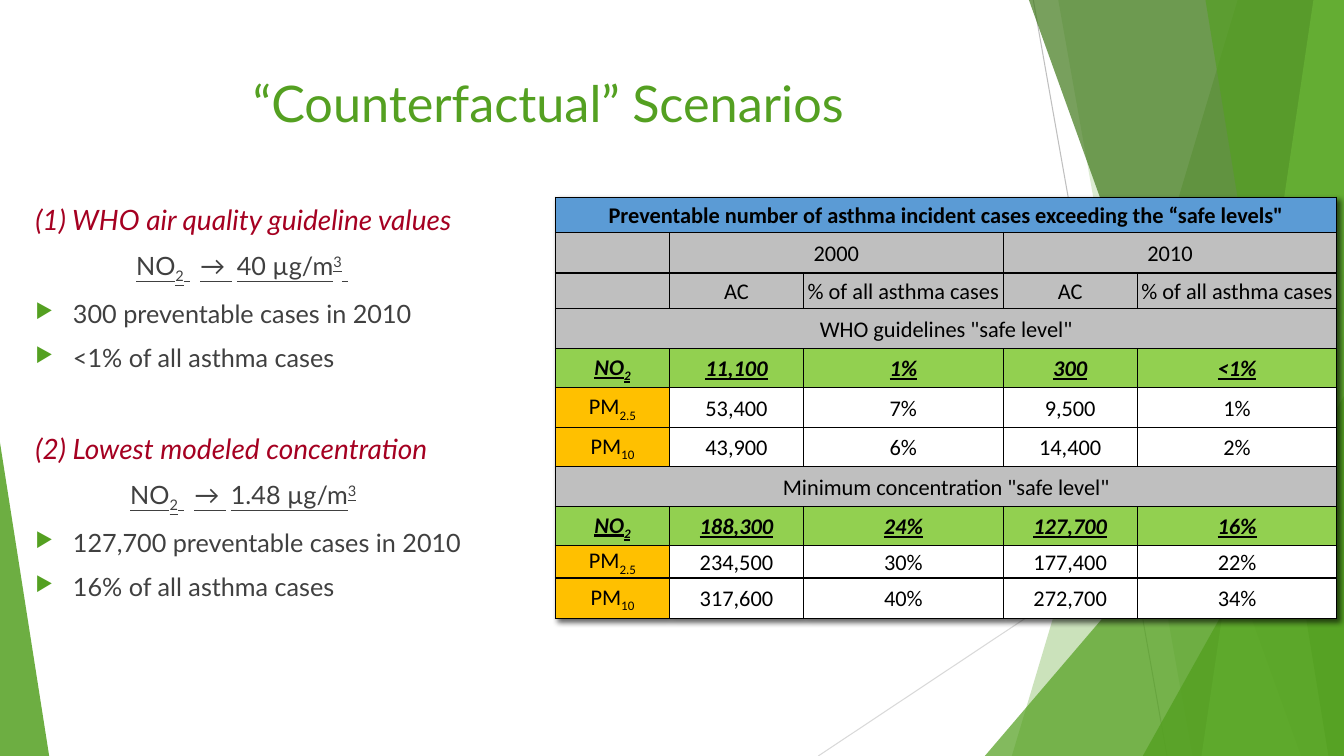
from dataclasses import dataclass

from lxml.etree import SubElement
from pptx import Presentation
from pptx.dml.color import RGBColor
from pptx.enum.shapes import MSO_CONNECTOR as Link, MSO_SHAPE as Shape
from pptx.enum.text import MSO_ANCHOR as Anchor, PP_ALIGN as Align
from pptx.oxml import parse_xml
from pptx.oxml.ns import nsdecls, qn
from pptx.util import Cm, Pt


@dataclass(frozen=True)
class Theme:
    """Colours, fonts and type sizes of the slide."""
    green: str = "54A021"
    dark_green: str = "3F7819"
    light_green: str = "94DE61"
    red: str = "A50021"
    grey_text: str = "404040"
    black: str = "000000"
    white: str = "FFFFFF"
    blue: str = "5B9BD5"
    grey: str = "BFBFBF"
    pale_grey: str = "D9D9D9"
    lime: str = "92D050"
    amber: str = "FFC000"
    heading_font: str = "Lato"
    table_font: str = "Calibri"
    title_size: int = 36
    heading_size: int = 20
    body_size: int = 18
    table_size: int = 16


THEME = Theme()
WIDTH, HEIGHT = 33.87, 19.05
SUB = {"baseline": -25000}
SUPER = {"baseline": 30000}
STRONG = {"bold": True, "italic": True, "underline": True}

COLUMNS = [2.87, 3.38, 5.03, 3.38, 5.03]
ROW_HEIGHTS = [0.89, 1.02, 0.89, 1.02, 0.97, 1.02, 0.97, 1.02, 0.97, 0.69, 1.02]
ROWS = [
    ("title", ["Preventable number of asthma incident cases exceeding the “safe levels\""]),
    ("years", ["", "2000", "", "2010", ""]),
    ("heads", ["", "AC", "% of all asthma cases", "AC", "% of all asthma cases"]),
    ("section", ["WHO guidelines \"safe level\""]),
    ("key", ["NO2", "11,100", "1%", "300", "<1%"]),
    ("data", ["PM2.5", "53,400", "7%", "9,500", "1%"]),
    ("data", ["PM10", "43,900", "6%", "14,400", "2%"]),
    ("section", ["Minimum concentration \"safe level\""]),
    ("key", ["NO2", "188,300", "24%", "127,700", "16%"]),
    ("data", ["PM2.5", "234,500", "30%", "177,400", "22%"]),
    ("data", ["PM10", "317,600", "40%", "272,700", "34%"]),
]
MERGES = {"title": [(0, 4)], "section": [(0, 4)], "years": [(1, 2), (3, 4)]}
ROW_FILLS = {"title": THEME.blue, "key": THEME.lime, "data": THEME.white}


def add_span(para, text, font, size, color, **formats):
    """Add a run; baseline and spc go to its properties, the rest to its font."""
    span = para.add_run()
    span.text = text
    span.font.color.rgb = RGBColor.from_string(color)
    for name, value in {"name": font, "size": Pt(size), **formats}.items():
        if name in ("baseline", "spc"):
            span.font._element.set(name, str(value))
        else:
            setattr(span.font, name, value)


def add_box(page, left, top, width, height):
    """Add an empty wrapping text box and return its frame."""
    frame = page.shapes.add_textbox(Cm(left), Cm(top), Cm(width), Cm(height)).text_frame
    frame.word_wrap = True
    return frame


def paint(shape, color, opacity):
    """Give a shape a translucent fill and no outline or shadow."""
    shape.shadow.inherit = False
    shape.line.fill.background()
    shape.fill.solid()
    shape.fill.fore_color.rgb = RGBColor.from_string(color)
    tint = shape.fill._xPr.find(".//" + qn("a:srgbClr"))
    SubElement(tint, qn("a:alpha"), val=str(opacity * 1000))


def add_facet(page, top_left, bottom_left, color, opacity):
    """Draw a full-height facet that ends at the right edge."""
    outline = page.shapes.build_freeform(Cm(top_left), 0)
    corners = [(WIDTH, 0), (WIDTH, HEIGHT), (bottom_left, HEIGHT)]
    outline.add_line_segments([(Cm(x), Cm(y)) for x, y in corners])
    paint(outline.convert_to_shape(), color, opacity)


def add_triangle(page, left, top, width, apex, opacity):
    """Draw a green triangle standing on the bottom edge."""
    shape = page.shapes.add_shape(Shape.ISOSCELES_TRIANGLE, Cm(left), Cm(top),
                                  Cm(width), Cm(HEIGHT - top))
    shape.adjustments[0] = apex
    paint(shape, THEME.green, opacity)


def add_ray(page, start, end, color):
    """Draw a thin straight line."""
    ray = page.shapes.add_connector(Link.STRAIGHT, *map(Cm, start + end))
    ray.line.width = Pt(0.75)
    ray.line.color.rgb = RGBColor.from_string(color)
    SubElement(ray._element.spPr, qn("a:effectLst"))


def add_backdrop(page):
    """Draw the faceted green decoration."""
    add_ray(page, (26.04, 0), (29.41, HEIGHT), THEME.grey)
    add_ray(page, (WIDTH, 10.24), (20.62, HEIGHT), THEME.pale_grey)
    add_facet(page, 31.19, 25.5, THEME.green, 30)
    add_facet(page, 26.67, 30.05, THEME.green, 20)
    add_triangle(page, 24.82, 8.46, 9.05, 1, 72)
    add_facet(page, 25.93, 32.79, THEME.dark_green, 70)
    add_facet(page, 33.1, 30.28, THEME.light_green, 70)
    add_facet(page, 30.38, 33.48, THEME.green, 65)
    add_triangle(page, 28.8, 9.98, 5.07, 1, 80)
    add_triangle(page, 0, 11.15, 1.24, 0, 85)


def add_bullet(para):
    """Give a paragraph a green arrow bullet with a hanging indent."""
    props = para._p.get_or_add_pPr()
    props.set("marL", str(Cm(0.95)))
    props.set("indent", str(-Cm(0.95)))
    SubElement(SubElement(props, qn("a:buClr")), qn("a:srgbClr"), val=THEME.green)
    SubElement(props, qn("a:buSzPct"), val="80000")
    SubElement(props, qn("a:buChar"), char="▶")


def add_scenario(frame, heading, level, indent, tail, facts):
    """Write a scenario heading, its NO2 level and two bulleted facts."""
    first = not frame.paragraphs[0].runs
    para = frame.paragraphs[0] if first else frame.add_paragraph()
    para.space_before = Pt(0 if first else 41.6)
    add_span(para, heading, THEME.heading_font, THEME.heading_size, THEME.red, italic=True)
    body = (THEME.heading_font, THEME.body_size, THEME.grey_text)

    para = frame.add_paragraph()
    para.space_before = Pt(10)
    para._p.get_or_add_pPr().set("marL", str(Cm(indent)))
    formula = [("NO", {}), ("2", SUB), (" ", {"spc": 700}), ("→", {}),
               (" ", {"spc": 350}), (level, {}), ("3", SUPER)] + tail
    for text, formats in formula:
        add_span(para, text, *body, underline=True, **formats)

    for fact in facts:
        para = frame.add_paragraph()
        para.space_before = Pt(10)
        add_bullet(para)
        add_span(para, fact, *body)


def fill_cell(cell, text, fill, formats):
    """Fill, border and write one table cell, lowering a formula's digits."""
    for name, value in {"margin_left": Cm(0.1), "margin_right": Cm(0.1), "margin_top": 0,
                        "margin_bottom": 0, "vertical_anchor": Anchor.MIDDLE}.items():
        setattr(cell, name, value)
    props = cell._tc.get_or_add_tcPr()
    for side in ("lnL", "lnR", "lnT", "lnB"):
        border = SubElement(props, qn(f"a:{side}"), w=str(Pt(1)))
        SubElement(SubElement(border, qn("a:solidFill")), qn("a:srgbClr"), val=THEME.black)
    cell.fill.solid()
    cell.fill.fore_color.rgb = RGBColor.from_string(fill)
    para = cell.text_frame.paragraphs[0]
    para.alignment = Align.CENTER
    para.line_spacing = 1.07
    pieces = [(text, {})]
    if text.startswith(("NO", "PM")):
        pieces = [(text[:2], {}), (text[2:], SUB)]
    for piece, extra in pieces:
        if piece:
            add_span(para, piece, THEME.table_font, THEME.table_size, THEME.black,
                     **formats, **extra)


def add_cases_table(page):
    """Build the table of preventable asthma cases."""
    frame = page.shapes.add_table(len(ROWS), len(COLUMNS), Cm(14), Cm(4.97),
                                  Cm(sum(COLUMNS)), Cm(sum(ROW_HEIGHTS)))
    table = frame.table
    table._tbl.tblPr.insert(0, parse_xml(
        f'<a:effectLst {nsdecls("a")}><a:outerShdw blurRad="50800" dist="38100" dir="2700000">'
        '<a:srgbClr val="000000"><a:alpha val="60000"/></a:srgbClr></a:outerShdw></a:effectLst>'))
    for column, width in zip(table.columns, COLUMNS):
        column.width = Cm(width)
    for index, (kind, texts) in enumerate(ROWS):
        table.rows[index].height = Cm(ROW_HEIGHTS[index])
        formats = {"title": {"bold": True}, "key": STRONG}.get(kind, {})
        for start, end in MERGES.get(kind, []):
            table.cell(index, start).merge(table.cell(index, end))
        for position in range(len(COLUMNS)):
            text = texts[position] if position < len(texts) else ""
            label = kind == "data" and position == 0
            fill = THEME.amber if label else ROW_FILLS.get(kind, THEME.grey)
            fill_cell(table.cell(index, position), text, fill, formats)


def main():
    """Build and save the slide."""
    deck = Presentation()
    deck.slide_width, deck.slide_height = Cm(WIDTH), Cm(HEIGHT)
    page = deck.slides.add_slide(deck.slide_layouts[6])
    add_backdrop(page)
    title = add_box(page, 1.88, 1.7, 23.88, 3.66).paragraphs[0]
    title.alignment = Align.CENTER
    add_span(title, "“Counterfactual” Scenarios", THEME.heading_font, THEME.title_size, THEME.green)
    add_cases_table(page)
    notes = add_box(page, 0.64, 4.98, 13.13, 11.89)
    add_scenario(notes, "(1) WHO air quality guideline values", "40 µg/m", 2.54, [(" ", {})],
                 ["300 preventable cases in 2010", "<1% of all asthma cases"])
    add_scenario(notes, "(2) Lowest modeled concentration", "1.48 µg/m", 2.39, [],
                 ["127,700 preventable cases in 2010", "16% of all asthma cases"])
    deck.save("out.pptx")


if __name__ == "__main__":
    main()
